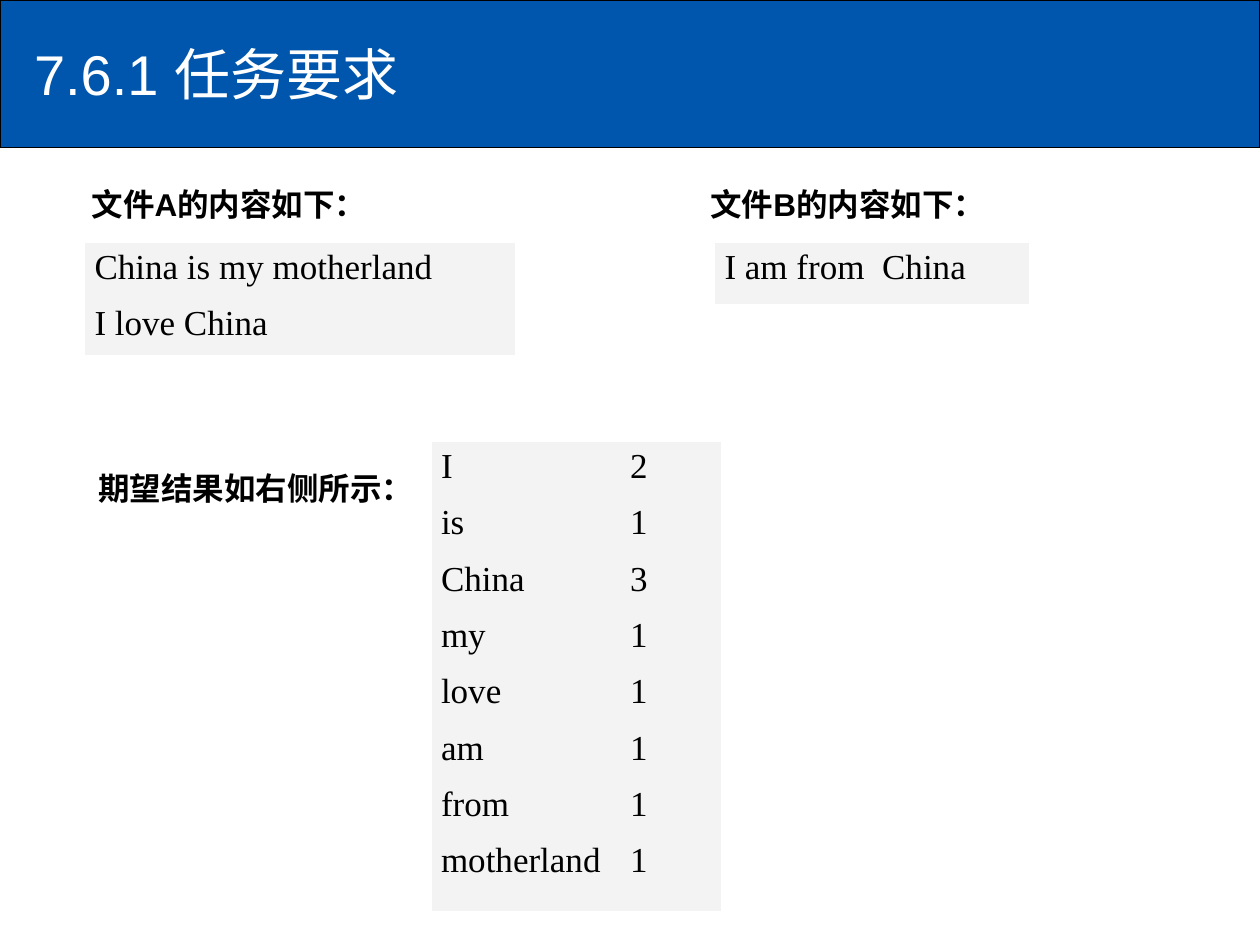
from dataclasses import dataclass

from lxml.etree import SubElement
from pptx import Presentation
from pptx.dml.color import RGBColor
from pptx.enum.shapes import MSO_SHAPE
from pptx.enum.text import MSO_ANCHOR, MSO_AUTO_SIZE, PP_ALIGN
from pptx.oxml.ns import qn
from pptx.util import Inches, Pt


@dataclass(frozen=True)
class Theme:
    band = RGBColor(0x00, 0x56, 0xAC)
    panel = RGBColor(0xF3, 0xF3, 0xF3)
    white = RGBColor(0xFF, 0xFF, 0xFF)
    black = RGBColor(0, 0, 0)
    title_size = Pt(32)
    label_size = Pt(18)
    content_size = Pt(20)
    heading_font = "Arial"
    content_font = "Times New Roman"


theme = Theme()


def set_font(font, **values):
    font.color.rgb = values.pop("color")
    for name, value in values.items():
        setattr(font, name, value)


def add_panel(slide, box, lines, count_tab=None):
    """Add a one-cell table, with a tab stop for the counts if given."""
    table = slide.shapes.add_table(1, 1, *map(Inches, box)).table
    table.first_row = table.horz_banding = False
    cell = table.cell(0, 0)
    cell.fill.solid()
    cell.fill.fore_color.rgb = theme.panel
    cell.margin_left = cell.margin_right = Inches(0.08)
    frame = cell.text_frame
    frame.text = "\n".join(lines)
    for number, line in enumerate(frame.paragraphs):
        line.alignment = PP_ALIGN.LEFT if count_tab else PP_ALIGN.JUSTIFY
        line.space_before = Pt(5 if number else 0)
        line.space_after = Pt(5)
        if count_tab:
            tabs = SubElement(line._p.get_or_add_pPr(), qn("a:tabLst"))
            SubElement(tabs, qn("a:tab"), pos=str(Inches(count_tab)), algn="l")
        set_font(line.font, name=theme.content_font, size=theme.content_size,
                 color=theme.black)


prs = Presentation()
prs.slide_width, prs.slide_height = Inches(10), Inches(7.5)
slide = prs.slides.add_slide(prs.slide_layouts[5])

# Title on its band
band = slide.shapes.add_shape(MSO_SHAPE.RECTANGLE, 0, 0, prs.slide_width, Inches(1.17))
band.shadow.inherit = False
band.fill.solid()
band.fill.fore_color.rgb = theme.band
band.line.color.rgb = theme.black
band.line.width = Pt(0.75)
slide.shapes._spTree.insert(2, band._element)  # behind the title

title = slide.shapes.title
title.left, title.top, title.width, title.height = map(Inches, (0.17, 0.08, 8.75, 1))
title.text_frame.text = "7.6.1 任务要求"
title.text_frame.auto_size = MSO_AUTO_SIZE.NONE
title.text_frame.vertical_anchor = MSO_ANCHOR.MIDDLE
heading = title.text_frame.paragraphs[0]
heading.alignment = PP_ALIGN.LEFT
set_font(heading.font, name=theme.heading_font, size=theme.title_size, color=theme.white)

# Labels of the two files and the result
labels = [
    ("文件A的内容如下：", 0.63, 1.42, 2.5),
    ("文件B的内容如下：", 5.54, 1.42, 2.5),
    ("期望结果如右侧所示：", 0.68, 3.67, 2.7),
]
for text, left, top, width in labels:
    label = slide.shapes.add_textbox(*map(Inches, (left, top, width, 0.4))).text_frame
    label.word_wrap = False
    label.auto_size = MSO_AUTO_SIZE.SHAPE_TO_FIT_TEXT
    label.text = text
    set_font(label.paragraphs[0].font, name=theme.heading_font, size=theme.label_size,
             bold=True, color=theme.black)

# File contents and expected word counts
add_panel(slide, (0.67, 1.92, 3.42, 0.86), ["China is my motherland", "I love China"])
add_panel(slide, (5.67, 1.92, 2.5, 0.5), ["I am from  China"])

word_counts = {"I": 2, "is": 1, "China": 3, "my": 1,
               "love": 1, "am": 1, "from": 1, "motherland": 1}
add_panel(slide, (3.42, 3.5, 2.31, 3.64),
          [f"{word}\t{count}" for word, count in word_counts.items()], count_tab=1.5)

prs.save("out.pptx")
